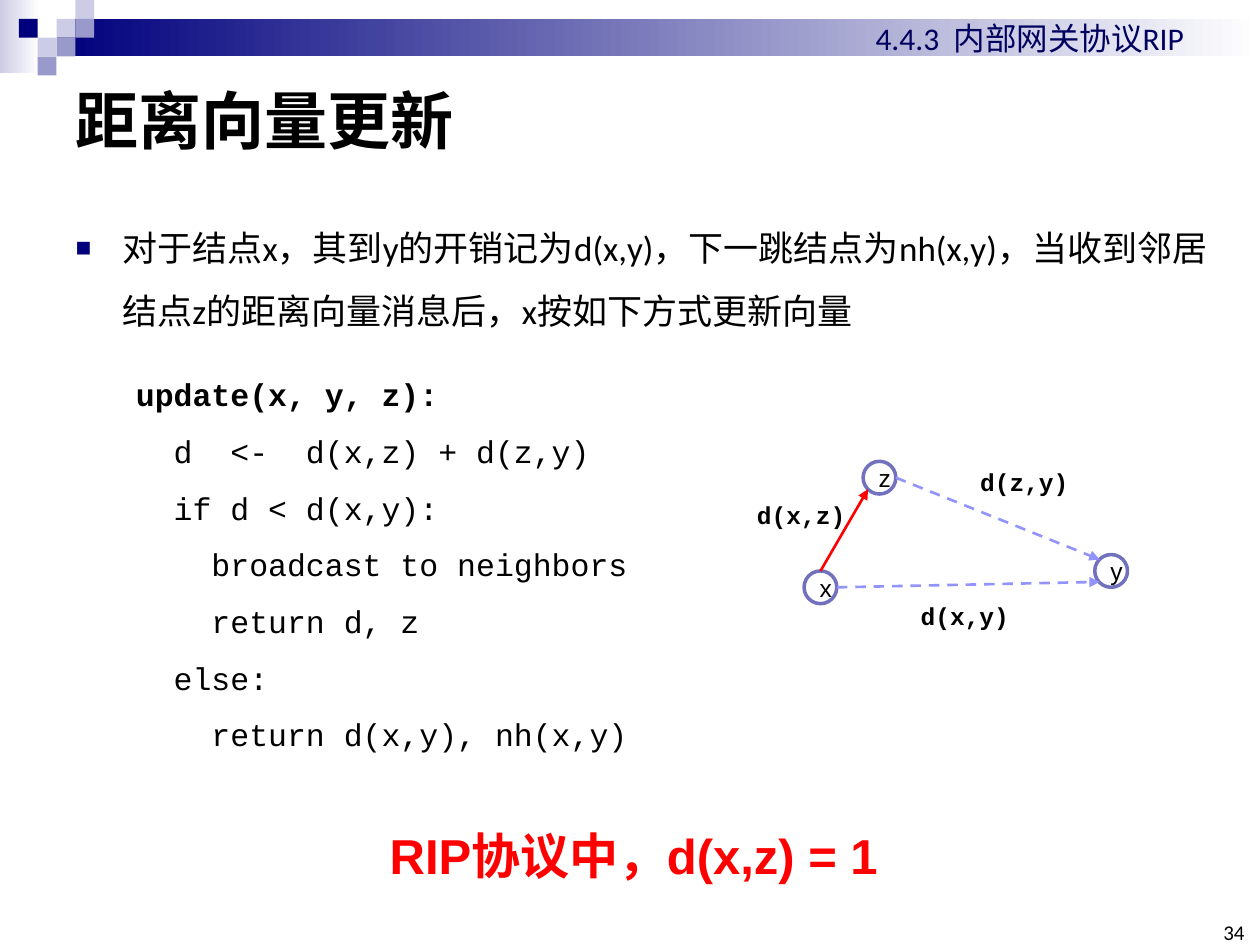
from lxml.etree import SubElement
from pptx import Presentation
from pptx.dml.color import RGBColor
from pptx.enum.dml import MSO_LINE
from pptx.enum.shapes import MSO_CONNECTOR, MSO_SHAPE
from pptx.enum.text import MSO_ANCHOR, MSO_AUTO_SIZE, PP_ALIGN
from pptx.oxml.ns import qn
from pptx.util import Cm, Pt

COLORS = {
    "navy": "00007D",
    "pale": "CCCCE6",
    "lilac": "9999CC",
    "white": "FFFFFF",
    "black": "000000",
    "header": "00005E",
    "node": "7171BD",
    "path": "9393FC",
    "red": "FF0000",
}
RGB = {name: RGBColor.from_string(value) for name, value in COLORS.items()}


def style(paragraph, size, name, color="black", bold=False):
    paragraph.font.size = Pt(size)
    paragraph.font.name = name
    paragraph.font.bold = bold
    paragraph.font.color.rgb = RGB[color]


def add_text(text, left, top, width, height, wrap=True):
    box = slide.shapes.add_textbox(Cm(left), Cm(top), Cm(width), Cm(height))
    box.text_frame.word_wrap = wrap
    box.text_frame.text = text
    return box.text_frame


presentation = Presentation()
presentation.slide_width = Cm(25.4)
presentation.slide_height = Cm(19.05)
slide = presentation.slides.add_slide(presentation.slide_layouts[1])

bands = [(0, 0, 0.79, 1.47, "pale"), (1.14, 0.38, 24.26, 0.76, "navy")]
for left, top, width, height, color in bands:
    band = slide.shapes.add_shape(MSO_SHAPE.RECTANGLE, Cm(left), Cm(top), Cm(width), Cm(height))
    band.shadow.inherit = False
    band.line.fill.background()
    band.fill.gradient()
    band.fill.gradient_angle = 0
    for stop, name in zip(band.fill.gradient_stops, (color, "white")):
        stop.color.rgb = RGB[name]

SQUARE = 0.38
squares = [
    (3, 1, "pale"), (4, 0, "pale"), (4, 1, "lilac"), (2, 2, "pale"),
    (1, 1, "navy"), (3, 2, "lilac"), (2, 3, "lilac"),
]
for column, row, color in squares:
    square = slide.shapes.add_shape(
        MSO_SHAPE.RECTANGLE, Cm(column * SQUARE), Cm(row * SQUARE), Cm(SQUARE), Cm(SQUARE))
    square.shadow.inherit = False
    square.line.fill.background()
    square.fill.solid()
    square.fill.fore_color.rgb = RGB[color]

title = slide.shapes.title
title.left, title.top, title.width, title.height = Cm(1.27), Cm(1.27), Cm(22.86), Cm(2.26)
title.text_frame.text = "距离向量更新"
title.text_frame.vertical_anchor = MSO_ANCHOR.MIDDLE
title.text_frame.paragraphs[0].alignment = PP_ALIGN.LEFT
style(title.text_frame.paragraphs[0], 36, "Calibri", bold=True)

body = slide.placeholders[1]
body.left, body.top, body.width, body.height = Cm(1.27), Cm(4.01), Cm(23.83), Cm(3.05)
body.text_frame.auto_size = MSO_AUTO_SIZE.NONE
body.text_frame.text = (
    "对于结点x，其到y的开销记为d(x,y)，下一跳结点为nh(x,y)，"
    "当收到邻居结点z的距离向量消息后，x按如下方式更新向量")
paragraph = body.text_frame.paragraphs[0]
properties = paragraph._p.get_or_add_pPr()
properties.set("marL", str(Cm(0.94)))
properties.set("indent", str(-Cm(0.94)))
bullet_color = SubElement(properties, qn("a:buClr"))
SubElement(bullet_color, qn("a:srgbClr"), val=COLORS["navy"])
SubElement(properties, qn("a:buSzPct"), val="75000")
SubElement(properties, qn("a:buFont"), typeface="Arial")
SubElement(properties, qn("a:buChar"), char="■")
paragraph.line_spacing = 1.5
paragraph.space_before = Pt(0)
style(paragraph, 20, "Calibri")

number = add_text("34", 24.51, 18.62, 0.58, 0.43)
number.margin_left = number.margin_right = number.margin_top = number.margin_bottom = 0
number.vertical_anchor = MSO_ANCHOR.BOTTOM
number.paragraphs[0].alignment = PP_ALIGN.RIGHT
style(number.paragraphs[0], 12, "Calibri")

header = add_text("4.4.3  内部网关协议RIP", 17.4, 0.25, 7.39, 1.02)
style(header.paragraphs[0], 18, "Calibri", "header")

code_lines = [
    "update(x, y, z):",
    "  d  <-  d(x,z) + d(z,y)",
    "  if d < d(x,y):",
    "    broadcast to neighbors",
    "    return d, z",
    "  else:",
    "    return d(x,y), nh(x,y)",
]
code = add_text("\n".join(code_lines), 2.49, 7.06, 11.3, 8.33)
for index, paragraph in enumerate(code.paragraphs):
    paragraph.line_spacing = 1.5
    style(paragraph, 18, "Courier New", bold=index == 0)

NODE = 0.66
nodes = {}
for name, left, top in [("x", 16.21, 11.51), ("y", 22.07, 11.18), ("z", 17.4, 9.3)]:
    node = slide.shapes.add_shape(MSO_SHAPE.OVAL, Cm(left), Cm(top), Cm(NODE), Cm(NODE))
    node.shadow.inherit = False
    node.fill.background()
    node.line.color.rgb = RGB["node"]
    node.line.width = Pt(2)
    node.text_frame.text = name
    node.text_frame.vertical_anchor = MSO_ANCHOR.MIDDLE
    node.text_frame.paragraphs[0].alignment = PP_ALIGN.CENTER
    style(node.text_frame.paragraphs[0], 14, "Arial")
    nodes[name] = node

links = [
    (16.54, 11.51, 17.5, 9.86, "red", MSO_LINE.SOLID),
    (18.06, 9.63, 22.17, 11.28, "path", MSO_LINE.DASH),
    (16.87, 11.84, 22.17, 11.73, "path", MSO_LINE.DASH),
]
for start_x, start_y, end_x, end_y, color, dash in links:
    link = slide.shapes.add_connector(
        MSO_CONNECTOR.STRAIGHT, Cm(start_x), Cm(start_y), Cm(end_x), Cm(end_y))
    link.line.color.rgb = RGB[color]
    link.line.width = Pt(1.5)
    link.line.dash_style = dash
    SubElement(link.line._get_or_add_ln(), qn("a:tailEnd"), type="triangle")
    SubElement(link._element.spPr, qn("a:effectLst"))
    if color == "red":
        link.begin_connect(nodes["x"], 0)

for text, left, top in [("d(x,z)", 15.01, 9.96), ("d(x,y)", 18.31, 11.99), ("d(z,y)", 19.51, 9.3)]:
    label = add_text(text, left, top, 2.31, 0.86, wrap=False)
    style(label.paragraphs[0], 14, "Courier New", bold=True)

conclusion = add_text("RIP协议中，d(x,z) = 1", 2.74, 16.51, 20.07, 1.45)
paragraph = conclusion.paragraphs[0]
paragraph.alignment = PP_ALIGN.CENTER
properties = paragraph._p.get_or_add_pPr()
properties.set("marL", str(Cm(1.42)))
properties.set("indent", str(-Cm(1.42)))
style(paragraph, 28, "Arial", "red", bold=True)

presentation.save("out.pptx")
